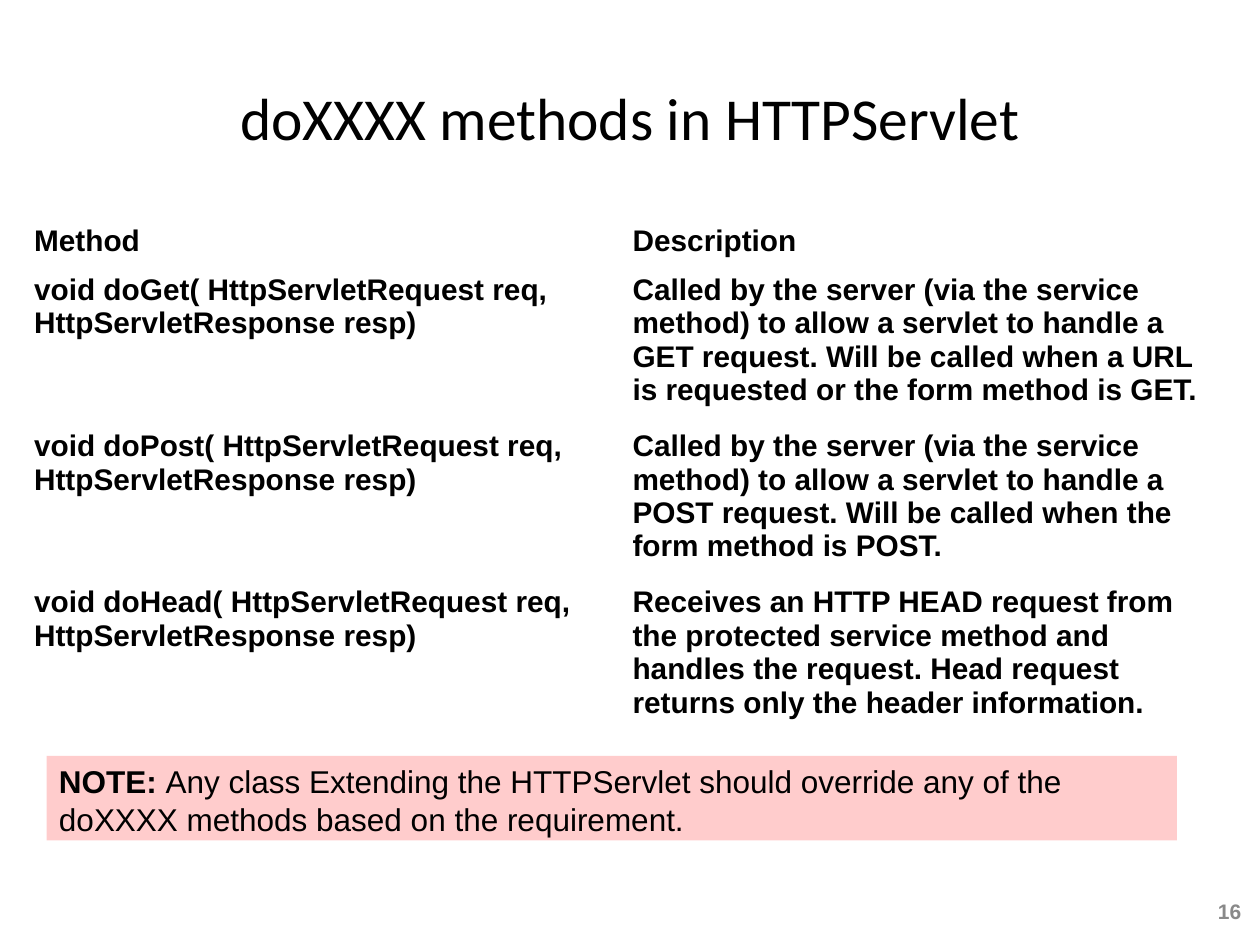
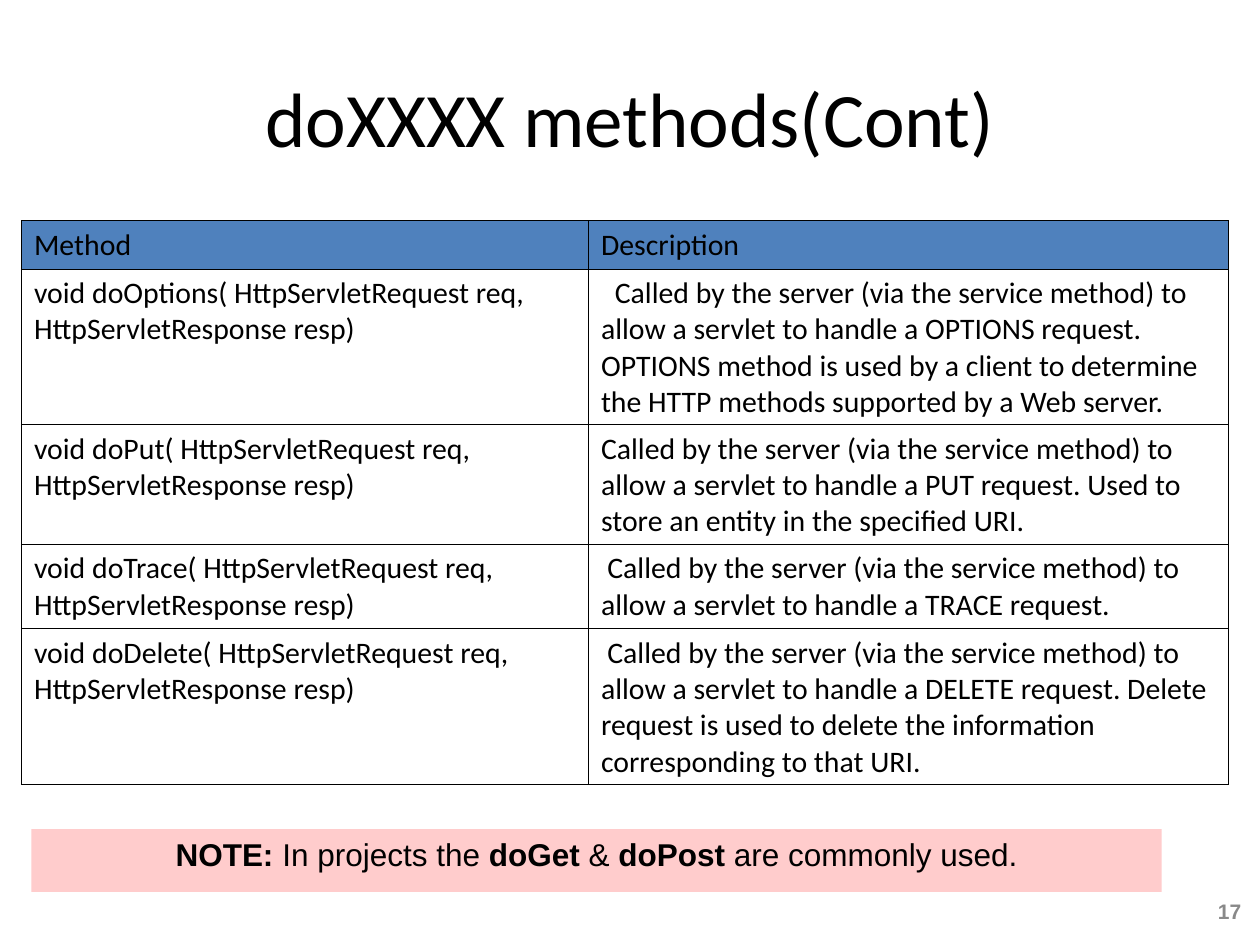
from dataclasses import dataclass

from lxml import etree
from pptx import Presentation
from pptx.dml.color import RGBColor
from pptx.enum.shapes import MSO_SHAPE
from pptx.enum.text import MSO_ANCHOR, PP_ALIGN
from pptx.oxml.ns import qn
from pptx.util import Inches, Pt

RECTANGLE = MSO_SHAPE.RECTANGLE
LEFT, CENTER, RIGHT = PP_ALIGN.LEFT, PP_ALIGN.CENTER, PP_ALIGN.RIGHT
TOP, MIDDLE = MSO_ANCHOR.TOP, MSO_ANCHOR.MIDDLE


@dataclass(frozen=True)
class Theme:
    ink: str = "000000"
    muted: str = "898989"
    note_fill: str = "FFCCCC"
    header_fill: str = "4F81BD"
    heading_font: str = "Calibri"
    body_font: str = "Arial"
    table_size: int = 17
    note_size: int = 18
    number_size: int = 12
    border_width: float = 0.45
    plain_table_style: str = "{2D5ABB26-0587-4C30-8999-92F81FD0307C}"


theme = Theme()


def write(text_frame, runs, font, size, color=theme.ink, align=LEFT, anchor=TOP):
    text_frame.word_wrap = True
    text_frame.vertical_anchor = anchor
    paragraph = text_frame.paragraphs[0]
    paragraph.alignment = align
    for text, bold in runs:
        run = paragraph.add_run()
        run.text = text
        run.font.name = font
        run.font.size = Pt(size)
        run.font.bold = bold
        run.font.color.rgb = RGBColor.from_string(color)
    return paragraph


def add_borders(cell):
    properties = cell._tc.get_or_add_tcPr()
    for position, side in enumerate(("lnL", "lnR", "lnT", "lnB")):
        line = etree.Element(qn(f"a:{side}"), w=str(Pt(theme.border_width)))
        fill = etree.SubElement(line, qn("a:solidFill"))
        etree.SubElement(fill, qn("a:srgbClr"), val=theme.ink)
        properties.insert(position, line)


pages = [
    {
        "title": "doXXXX methods in HTTPServlet",
        "title_size": 34,
        "number": "16",
        "table_top": 1.73,
        "table_font": theme.body_font,
        "bold": True,
        "grid": False,
        "columns": (4.75, 4.83),
        "row_heights": (0.39, 1.24, 1.24, 1.24),
        "methods": [
            ("doGet", 0, "Called by the server (via the service method) to allow a servlet to "
             "handle a GET request. Will be called when a URL is requested or the form method is GET."),
            ("doPost", 0, "Called by the server (via the service method) to allow a servlet to "
             "handle a POST request. Will be called when the form method is POST."),
            ("doHead", 0, "Receives an HTTP HEAD request from the protected service method and "
             "handles the request. Head request returns only the header information."),
        ],
        "note_box": (0.37, 6, 8.97, 0.67),
        "note_align": LEFT,
        "note": [
            ("NOTE: ", True),
            ("Any class Extending the HTTPServlet should override any of the doXXXX methods "
             "based on the requirement.", False),
        ],
    },
    {
        "title": "doXXXX methods(Cont)",
        "title_size": 44,
        "number": "17",
        "table_top": 1.75,
        "table_font": theme.heading_font,
        "bold": False,
        "grid": True,
        "columns": (4.5, 5.08),
        "row_heights": (0.38, 1.23, 0.95, 0.67, 1.23),
        "methods": [
            ("doOptions", 0.11, "Called by the server (via the service method) to allow a servlet "
             "to handle a OPTIONS request. OPTIONS method is used by a client to determine the "
             "HTTP methods supported by a Web server."),
            ("doPut", 0, "Called by the server (via the service method) to allow a servlet to "
             "handle a PUT request. Used to store an entity in the specified URI."),
            ("doTrace", 0.05, "Called by the server (via the service method) to allow a servlet "
             "to handle a TRACE request."),
            ("doDelete", 0.05, "Called by the server (via the service method) to allow a servlet "
             "to handle a DELETE request. Delete request is used to delete the information "
             "corresponding to that URI."),
        ],
        "note_box": (0.25, 6.58, 8.97, 0.5),
        "note_align": CENTER,
        "note": [
            ("NOTE: ", True),
            ("In projects the ", False),
            ("doGet", True),
            (" & ", False),
            ("doPost", True),
            (" are commonly used.", False),
        ],
    },
]

presentation = Presentation()
presentation.slide_width = Inches(10)
presentation.slide_height = Inches(7.5)
blank_layout = presentation.slide_layouts[6]

for page in pages:
    slide = presentation.slides.add_slide(blank_layout)

    title_box = slide.shapes.add_textbox(Inches(0.5), Inches(0.3), Inches(9), Inches(1.25))
    write(title_box.text_frame, [(page["title"], False)], theme.heading_font,
          page["title_size"], align=CENTER, anchor=MIDDLE)

    number_box = slide.shapes.add_textbox(Inches(9.46), Inches(7.06), Inches(0.49), Inches(0.35))
    write(number_box.text_frame, [(page["number"], True)], theme.body_font,
          theme.number_size, theme.muted, RIGHT, MIDDLE)

    rows = [("Method", 0, "Description")]
    for name, indent, description in page["methods"]:
        signature = f"void {name}( HttpServletRequest req, HttpServletResponse resp)"
        rows.append((signature, indent, description))

    table_frame = slide.shapes.add_table(
        len(rows), 2, Inches(0.17), Inches(page["table_top"]),
        Inches(sum(page["columns"])), Inches(sum(page["row_heights"])))
    table = table_frame.table
    table.first_row = page["grid"]
    table.horz_banding = False
    table._tbl.tblPr.find(qn("a:tableStyleId")).text = theme.plain_table_style
    for column, width in zip(table.columns, page["columns"]):
        column.width = Inches(width)

    for row_index, (method, indent, description) in enumerate(rows):
        table.rows[row_index].height = Inches(page["row_heights"][row_index])
        for column_index, text in enumerate((method, description)):
            cell = table.cell(row_index, column_index)
            paragraph = write(cell.text_frame, [(text, page["bold"])],
                              page["table_font"], theme.table_size)
            if column_index == 1 and indent:
                paragraph._p.get_or_add_pPr().set("indent", str(Inches(indent)))
            if page["grid"] and row_index == 0:
                cell.fill.solid()
                cell.fill.fore_color.rgb = RGBColor.from_string(theme.header_fill)
            else:
                cell.fill.background()
            if page["grid"]:
                add_borders(cell)

    note = slide.shapes.add_shape(RECTANGLE, *[Inches(length) for length in page["note_box"]])
    note.shadow.inherit = False
    note.fill.solid()
    note.fill.fore_color.rgb = RGBColor.from_string(theme.note_fill)
    note.line.fill.background()
    write(note.text_frame, page["note"], theme.body_font, theme.note_size,
          align=page["note_align"])

presentation.save("out.pptx")
